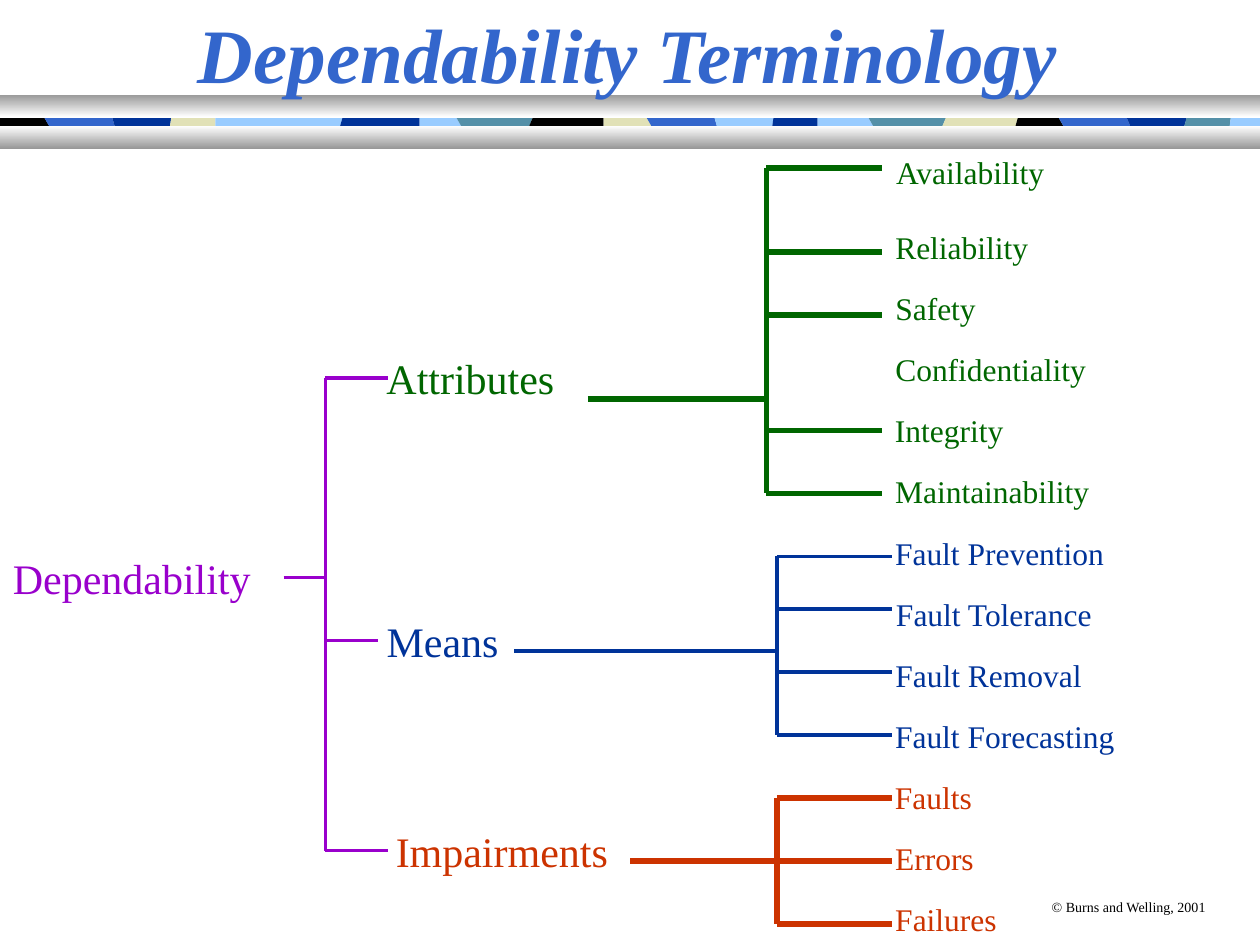
from lxml.etree import SubElement
from pptx import Presentation
from pptx.dml.color import RGBColor
from pptx.enum.shapes import MSO_CONNECTOR as Connector, MSO_SHAPE as Shape
from pptx.enum.text import MSO_ANCHOR as Anchor, MSO_AUTO_SIZE as AutoSize, PP_ALIGN as Align
from pptx.oxml.ns import qn
from pptx.util import Emu, Inches, Pt

deck = Presentation()
deck.slide_width, deck.slide_height = Inches(10), Inches(7.5)
page = deck.slides.add_slide(deck.slide_layouts[6])

# The grid has 120 columns and 90 rows of square cells.
CELL = deck.slide_width / 120
PURPLE, GREEN, NAVY, RED = "9900CC", "006600", "003399", "CC3300"
BLACK, BLUE, SKY, TEAL, SAND = "000000", "3366CC", "99CCFF", "5490A8", "E1E1B7"
color = RGBColor.from_string


def add_text(words, col, row, width, height, size, hue, wrap=False):
    box = page.shapes.add_textbox(*(Emu(round(n * CELL)) for n in (col, row, width, height)))
    frame = box.text_frame
    frame.text = words
    frame.word_wrap = wrap
    frame.auto_size = AutoSize.NONE if wrap else AutoSize.SHAPE_TO_FIT_TEXT
    frame.vertical_anchor = Anchor.MIDDLE
    para = frame.paragraphs[0]
    para.alignment = Align.CENTER
    font = para.runs[0].font
    font.name, font.size, font.color.rgb = "Times New Roman", Pt(size), color(hue)
    return font


def add_line(col1, row1, col2, row2, hue, weight):
    ends = (Emu(round(n * CELL)) for n in (col1, row1, col2, row2))
    line = page.shapes.add_connector(Connector.STRAIGHT, *ends)
    line.line.color.rgb, line.line.width = color(hue), Pt(weight)
    SubElement(line._element.spPr, qn("a:effectLst"))


# Coloured strip: each segment's left edge at the top and bottom, in % of the width
segments = [
    (0, 0, BLACK), (3.5, 3.9, BLUE), (8.9, 9.1, NAVY), (13.6, 13.5, SAND),
    (17.1, 17.1, SKY), (27.2, 27, NAVY), (33.3, 33.3, SKY), (36.2, 36.6, TEAL),
    (42.3, 42, BLACK), (47.9, 47.9, SAND), (51.3, 51.7, BLUE), (56.7, 56.9, SKY),
    (61.4, 61.3, NAVY), (64.9, 64.9, SKY), (68.9, 69.3, TEAL), (75.1, 74.8, SAND),
    (80.8, 80.6, BLACK), (84, 84.4, BLUE), (89.4, 89.7, NAVY), (94.2, 94, TEAL),
    (97.7, 97.6, SKY), (100, 100, None),
]
heights = [Inches(y) for y in (0.85, 0.93, 1, 1.13)]
for (top, bottom, hue), (next_top, next_bottom, _) in zip(segments, segments[1:]):
    left_edge = list(zip((top, top, bottom, bottom), heights))
    right_edge = list(zip((next_top, next_top, next_bottom, next_bottom), heights))
    outline = [(round(x / 100 * deck.slide_width), y) for x, y in left_edge + right_edge[::-1]]
    builder = page.shapes.build_freeform(*outline[0])
    builder.add_line_segments(outline[1:], close=True)
    segment = builder.convert_to_shape()
    segment.shadow.inherit = False
    segment.fill.solid()
    segment.fill.fore_color.rgb = color(hue)
    segment.line.fill.background()

# Shaded bars above and below the strip
for top, hues in ((0.75, ("989898", "FFFFFF")), (1, ("FFFFFF", "989898"))):
    bar = page.shapes.add_shape(Shape.RECTANGLE, 0, Inches(top), deck.slide_width, Inches(0.18))
    bar.shadow.inherit = False
    bar.line.fill.background()
    bar.fill.gradient()
    bar.fill.gradient_angle = 270
    for stop, hue, position in zip(bar.fill.gradient_stops, hues, (0, 1)):
        stop.color.rgb, stop.position = color(hue), position

title = add_text("Dependability Terminology", 0, 0, 119.6, 10, 44, BLUE, wrap=True)
title.bold = title.italic = True
add_text("© Burns and Welling, 2001", 98.9, 84.9, 17.2, 2.9, 8, BLACK)

# Main terms: words, column, row, width, colour
for words, col, row, width, hue in (
    ("Dependability", 0, 52, 25.1, PURPLE),
    ("Attributes", 35.6, 33, 18.4, GREEN),
    ("Means", 35.6, 58, 13.1, NAVY),
    ("Impairments", 36.5, 78, 22.6, RED),
):
    add_text(words, col, row, width, 6, 24, hue)

# Leaf terms: words, width, colour; evenly spaced after the first one
leaves = [
    ("Availability", 16.8, GREEN), ("Reliability", 15.2, GREEN), ("Safety", 10.2, GREEN),
    ("Confidentiality", 20.7, GREEN), ("Integrity", 12.8, GREEN), ("Maintainability", 21, GREEN),
    ("Fault Prevention", 22.4, NAVY), ("Fault Tolerance", 21.3, NAVY),
    ("Fault Removal", 20.3, NAVY), ("Fault Forecasting", 23.4, NAVY),
    ("Faults", 9.8, RED), ("Errors", 10, RED), ("Failures", 12.2, RED),
]
for index, (words, width, hue) in enumerate(leaves):
    row = 15.3 + 5.82 * index if index else 14
    add_text(words, 84, row, width, 4.8, 18, hue)

# Brackets: stem start, stem row, spine column, arms as (row, end column)
brackets = [
    (27, 55, 31, [(36, 37), (61, 36), (81, 37)], PURPLE, 2.25),
    (56, 38, 73, [(row, 84) for row in (16, 24, 30, 41, 47)], GREEN, 3),
    (49, 62, 74, [(row, 85) for row in (53, 58, 64, 70)], NAVY, 2.25),
    (60, 82, 74, [(row, 85) for row in (76, 82, 88)], RED, 3),
]
for start, stem_row, spine, arms, hue, weight in brackets:
    add_line(start, stem_row, spine, stem_row, hue, weight)
    add_line(spine, arms[0][0], spine, arms[-1][0], hue, weight)
    for row, end in arms:
        add_line(spine, row, end, row, hue, weight)

deck.save("out.pptx")
